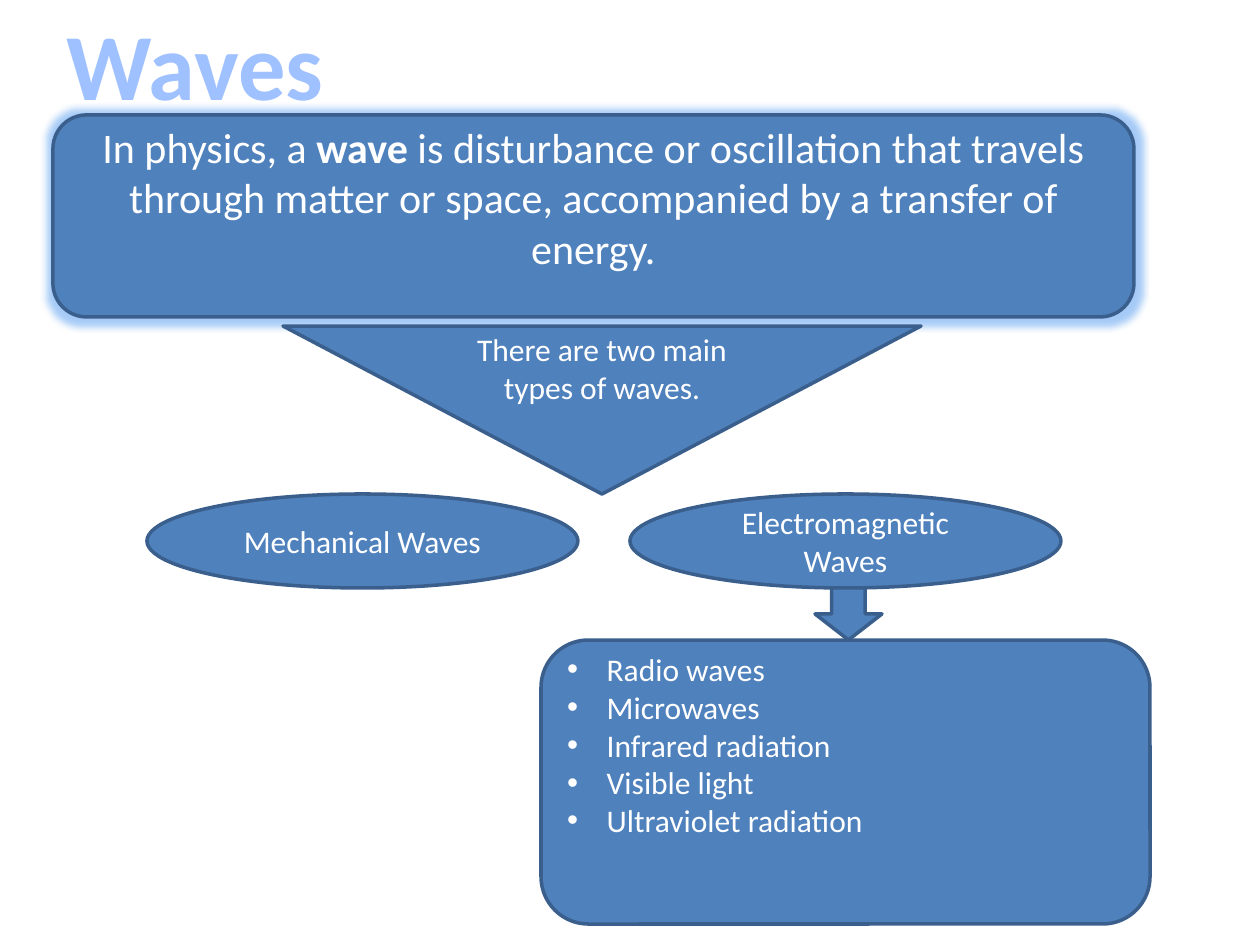
import pptx
import pptx.util
import pptx.dml.color
import pptx.enum.shapes
import pptx.enum.text
import pptx.oxml
import pptx.oxml.ns

SHAPE = pptx.enum.shapes.MSO_SHAPE
ALIGN = pptx.enum.text.PP_ALIGN
ANCHOR = pptx.enum.text.MSO_ANCHOR
NS = pptx.oxml.ns.nsdecls("a")
PX = 914400 / 126
FONT = "Calibri"


def rgb(color):
    return pptx.dml.color.RGBColor.from_string(color)


def add_run(p, text, size, color="FFFFFF", bold=False):
    r = p.add_run()
    r.text = text
    r.font.name = FONT
    r.font.size = pptx.util.Pt(size)
    r.font.bold = bold
    r.font.color.rgb = rgb(color)


prs = pptx.Presentation()
prs.slide_width = pptx.util.Inches(10)
prs.slide_height = pptx.util.Inches(7.5)
s = prs.slides.add_slide(prs.slide_layouts[5])

# Title
title = s.shapes.title
title.left, title.top, title.width, title.height = [round(v * PX) for v in (1, 0, 388, 127)]
tf = title.text_frame
tf.vertical_anchor = ANCHOR.TOP
tf.paragraphs[0].alignment = ALIGN.CENTER
add_run(tf.paragraphs[0], "Waves", 54, "A0C1FF", True)

# Diagram boxes: preset, position in px, text size, space kept free
# below the text, paragraphs of (text, bold) runs
kinds = ["Radio waves", "Microwaves", "Infrared radiation", "Visible light",
         "Ultraviolet radiation"]
boxes = [
    (SHAPE.ROUNDED_RECTANGLE, (53, 115, 1081, 202), 24, 38,
     [[("In physics, a ", False), ("wave", True),
       (" is disturbance or oscillation that travels through matter or space, "
        "accompanied by a transfer of energy.", False)]]),
    (SHAPE.FLOWCHART_MERGE, (283, 326, 638, 168), 18, 0,
     [[("There are two main types of waves.", False)]]),
    (SHAPE.OVAL, (147, 494, 431, 94), 18, 0, [[("Mechanical Waves", False)]]),
    (SHAPE.OVAL, (630, 494, 431, 94), 18, 0, [[("Electromagnetic Waves", False)]]),
    (SHAPE.ROUNDED_RECTANGLE, (541, 640, 609, 284), 18, 75,
     [[(kind, False)] for kind in kinds]),
    (SHAPE.DOWN_ARROW, (815, 588, 67, 52), 18, 0, []),
]

shapes = []
for preset, box, size, free, paragraphs in boxes:
    sp = s.shapes.add_shape(preset, *[round(v * PX) for v in box])
    shapes.append(sp)
    sp.shadow.inherit = False
    sp.fill.solid()
    sp.fill.fore_color.rgb = rgb("4F81BD")
    sp.line.color.rgb = rgb("3A5F8C")
    sp.line.width = pptx.util.Pt(2)
    tf = sp.text_frame
    tf.word_wrap = True
    tf.vertical_anchor = ANCHOR.MIDDLE
    tf.margin_bottom = pptx.util.Inches(0.05) + round(free * PX)
    for i, runs in enumerate(paragraphs):
        p = tf.add_paragraph() if i else tf.paragraphs[0]
        p.alignment = ALIGN.CENTER
        for text, bold in runs:
            add_run(p, text, size, bold=bold)

definition, spectrum = shapes[0], shapes[4]

# Glow around the definition
effects = definition._element.spPr.find(pptx.oxml.ns.qn("a:effectLst"))
effects.append(pptx.oxml.parse_xml(
    f'<a:glow {NS} rad="101600"><a:srgbClr val="6AA8F2">'
    '<a:alpha val="60000"/></a:srgbClr></a:glow>'))

# Bullets with a hanging indent
for p in spectrum.text_frame.paragraphs:
    p.alignment = ALIGN.LEFT
    pPr = p._p.get_or_add_pPr()
    pPr.set("marL", "285750")
    pPr.set("indent", "-285750")
    pPr.append(pptx.oxml.parse_xml(f'<a:buFont {NS} typeface="Arial"/>'))
    pPr.append(pptx.oxml.parse_xml(f'<a:buChar {NS} char="•"/>'))

prs.save("out.pptx")
